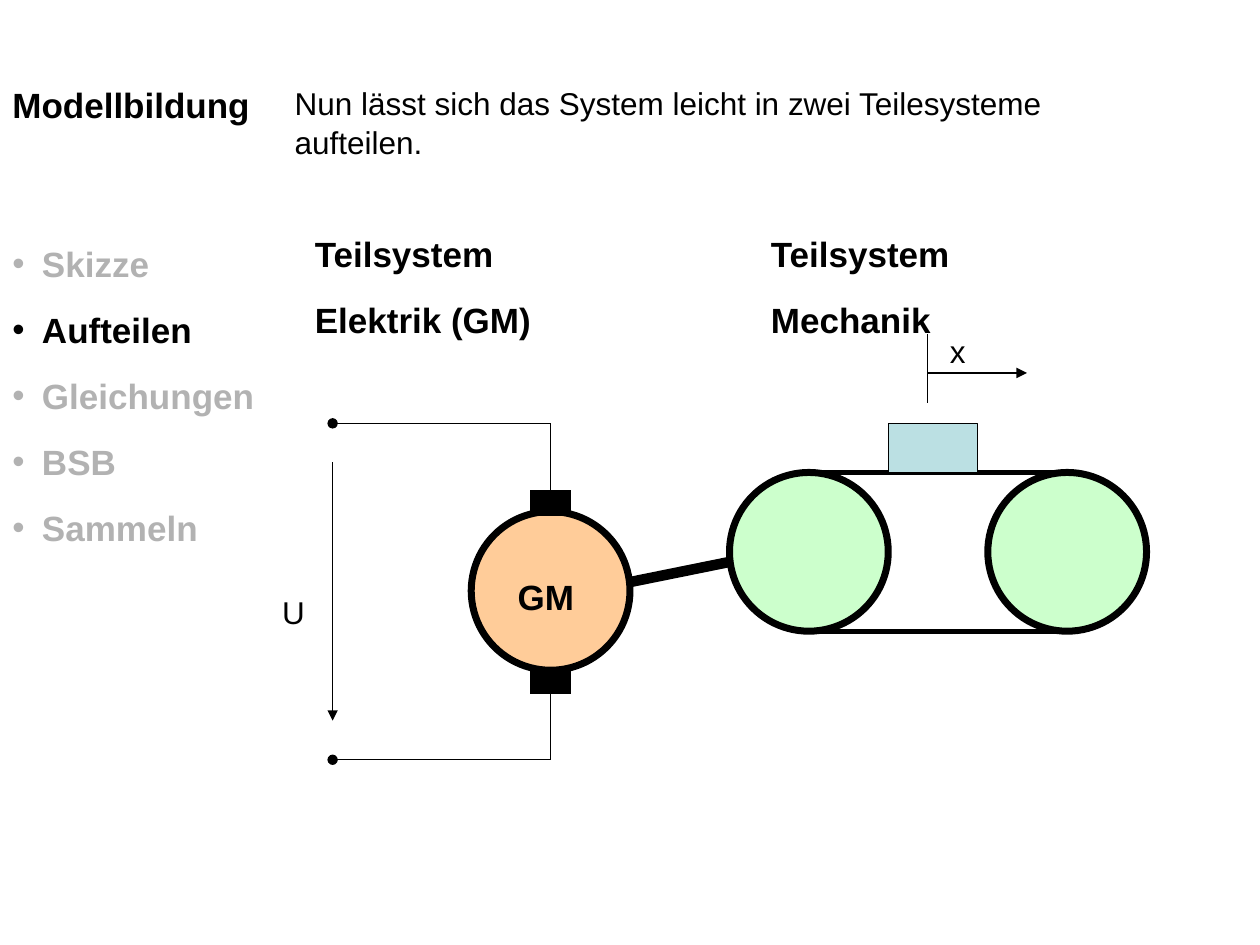
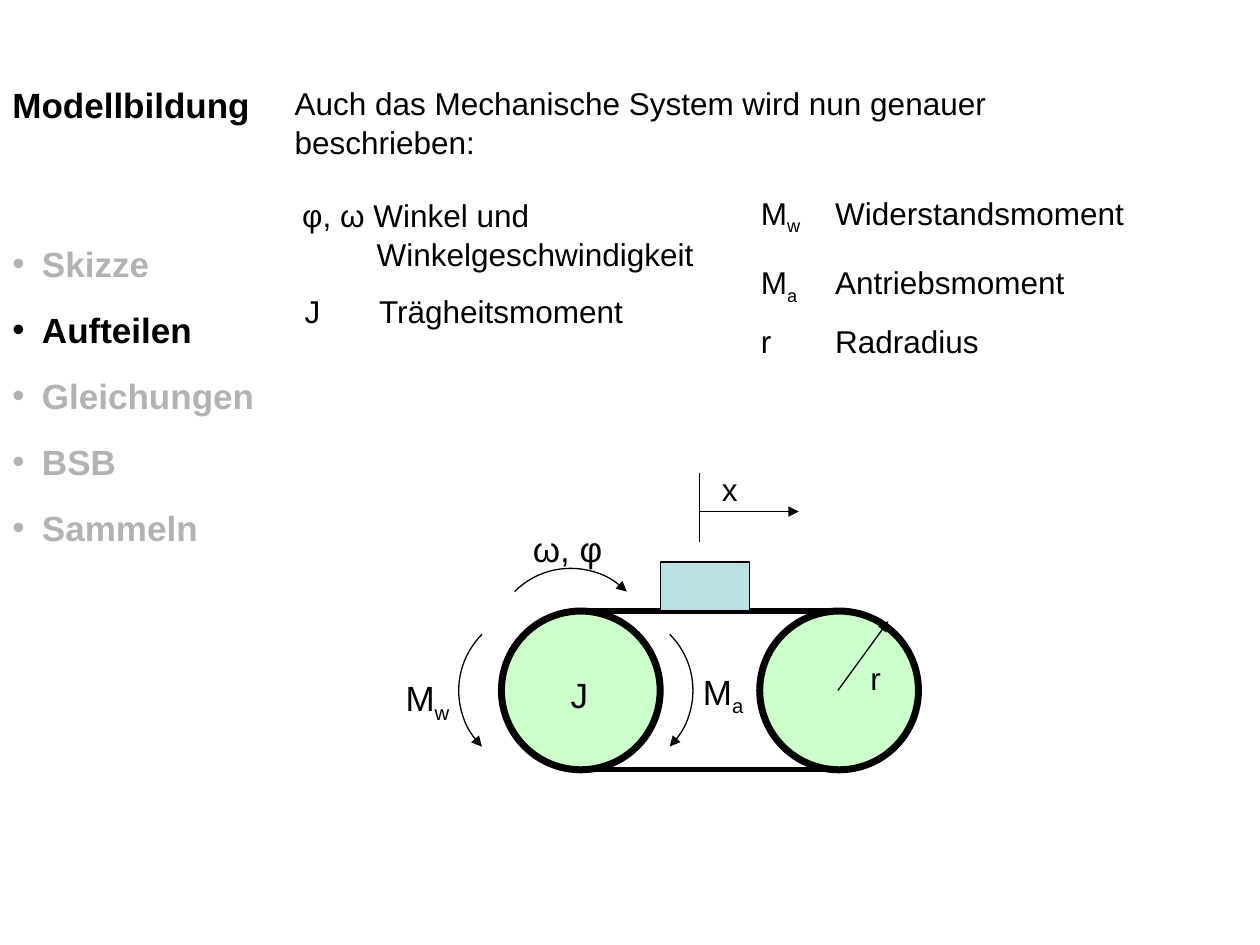
from pptx import Presentation
from pptx.util import Inches, Pt
from pptx.dml.color import RGBColor as Rgb
from pptx.enum.shapes import MSO_SHAPE as Form, MSO_CONNECTOR as Wire
from pptx.enum.text import MSO_AUTO_SIZE as Fit
from pptx.oxml.ns import qn
from lxml.etree import SubElement as Sub

HUES = {"ink": "000000", "dim": "B2B2B2", "motor": "FFCC99",
        "wheel": "CCFFCC", "cart": "BBE0E3"}
FONT = "Arial"
STEPS = ["Skizze", "Aufteilen", "Gleichungen", "BSB", "Sammeln"]
NOW = "Aufteilen"

deck = Presentation()
deck.slide_width, deck.slide_height = Inches(10), Inches(7.5)
CELL = deck.slide_width / 100
SIDE = 22.4
DISC = 12.6
SPAN = 20.5


def style(shape, width, fill=None, **ends):
    shape.line.color.rgb = Rgb.from_string(HUES["ink"])
    shape.line.width = Pt(width)
    if fill:
        shape.fill.solid()
        shape.fill.fore_color.rgb = Rgb.from_string(HUES[fill])
    elif hasattr(shape, "fill"):
        shape.fill.background()
    edge = shape.line._get_or_add_ln()
    for end, kind in ends.items():
        Sub(edge, qn(f"a:{end}End"), type=kind)
    Sub(shape._element.spPr, qn("a:effectLst"))


def write(slide, place, lines, size=18, bold=False, wrap=True, gap=0, tab=0):
    box = slide.shapes.add_textbox(*[round(n * CELL) for n in place])
    frame = box.text_frame
    frame.word_wrap = wrap
    frame.auto_size = Fit.NONE if wrap else Fit.SHAPE_TO_FIT_TEXT
    for i, runs in enumerate(lines):
        para = frame.paragraphs[0] if i == 0 else frame.add_paragraph()
        para.line_spacing = 1.05
        para.space_before = Pt(gap)
        for j, words in enumerate(runs):
            run = para.add_run()
            run.text = words
            font = run.font
            font.name, font.size, font.bold = FONT, Pt(size), bold
            font.color.rgb = Rgb.from_string(HUES["ink"])
            if j % 2:
                font._element.set("baseline", "-25000")
        if tab:
            stops = Sub(para._p.get_or_add_pPr(), qn("a:tabLst"))
            Sub(stops, qn("a:tab"), pos=str(round(tab * CELL)), algn="l")
    return frame


pages = []
for lead, left, top in [
    ("Nun lässt sich das System leicht in zwei Teilesysteme aufteilen.", 57.9, 37.5),
    ("Auch das Mechanische System wird nun genauer beschrieben:", 39.8, 48.5),
]:
    slide = deck.slides.add_slide(deck.slide_layouts[6])
    pages.append(slide)
    write(slide, (0, 6, SIDE, 6.3), [["Modellbildung"]], 20, True)
    write(slide, (SIDE, 6, 71.5, 7), [[lead]])

    menu = write(slide, (0, 18.6, SIDE, 43.3), [[s] for s in STEPS], 20, True, gap=12.5)
    for para in menu.paragraphs:
        hue = HUES["ink" if para.text == NOW else "dim"]
        para.runs[0].font.color.rgb = Rgb.from_string(hue)
        props = para._p.get_or_add_pPr()
        props.set("marL", str(round(2.35 * CELL)))
        props.set("indent", str(round(-2.35 * CELL)))
        Sub(Sub(props, qn("a:buClr")), qn("a:srgbClr"), val=hue)
        Sub(props, qn("a:buFont"), typeface=FONT)
        Sub(props, qn("a:buChar"), char="•")

    for x in (left, left + SPAN):
        disc = slide.shapes.add_shape(
            Form.OVAL, *[round(n * CELL) for n in (x, top, DISC, DISC)])
        style(disc, 4, "wheel")
    hub = left + DISC / 2
    axis = left + 15.7
    for x1, y1, x2, y2, width, ends in [
        (hub, top, hub + SPAN, top, 3, {}),
        (hub, top + DISC, hub + SPAN, top + DISC, 3, {}),
        (axis, top - 11, axis, top - 5.5, 0.75, {}),
        (axis, top - 7.9, axis + 7.9, top - 7.9, 0.75, {"tail": "triangle"}),
    ]:
        line = slide.shapes.add_connector(
            Wire.STRAIGHT, *[round(n * CELL) for n in (x1, y1, x2, y2)])
        style(line, width, **ends)
    cart = slide.shapes.add_shape(
        Form.RECTANGLE, *[round(n * CELL) for n in (left + DISC, top - 3.9, 7.1, 3.9)])
    style(cart, 0.75, "cart")
    write(slide, (left + 16.5, top - 11.8, 3.2, 4), [["x"]], wrap=False)

split, mech = pages

motor = split.shapes.add_shape(
    Form.OVAL, *[round(n * CELL) for n in (37.4, 40.6, DISC, DISC)])
style(motor, 4, "motor")
write(split, (40.1, 45, 7.1, 4.4), [["GM"]], 20, True, gap=12.5)
mid, pole = 43.7, 26.4
wires = [
    (50, 46.2, 57.9, 44.6, 6, {}),
    (pole, 36.7, pole, 57.2, 0.75, {"tail": "triangle"}),
]
for brush, inner, outer in [(39.9, 39.1, 33.6), (54, 54.8, 60.3)]:
    wires += [
        (mid - 1.6, brush, mid + 1.6, brush, 15, {}),
        (mid, outer, mid, inner, 0.75, {}),
        (mid, outer, pole, outer, 0.75, {"tail": "oval"}),
    ]
for *ends, width, tips in wires:
    line = split.shapes.add_connector(Wire.STRAIGHT, *[round(n * CELL) for n in ends])
    style(line, width, **tips)
write(split, (21.4, 46.4, 3.8, 4), [["U"]], wrap=False)
for x, part in [(24, "Elektrik (GM)"), (60.2, "Mechanik")]:
    write(split, (x, 17.8, 22.8, 9.4), [["Teilsystem"], [part]], 20, True, gap=12.5)

for x, y, turn, end in [
    (39, 45.1, 315, "tail"),
    (36.4, 48.5, 225, "head"),
    (42.4, 48.5, 45, "tail"),
]:
    arc = mech.shapes.add_shape(Form.ARC, *[round(n * CELL) for n in (x, y, DISC, DISC)])
    arc.rotation = turn
    style(arc, 0.75, **{end: "triangle"})
ray = mech.shapes.add_connector(
    Wire.STRAIGHT, *[round(n * CELL) for n in (66.5, 54.8, 70.5, 49.3)])
style(ray, 0.75, tail="triangle")
for x, y, w, h, runs, size in [
    (41.3, 41.2, 7.5, 4.4, ["ω, φ"], 20),
    (31.2, 53, 5.5, 4.8, ["M", "w"], 20),
    (54.8, 52.5, 5.2, 4.8, ["M", "a"], 20),
    (44.3, 52.8, 3.4, 4.4, ["J"], 20),
    (68.1, 51.7, 2.8, 4, ["r"], 18),
]:
    write(mech, (x, y, w, h), [runs], size, wrap=False)
for x, y, h, lines in [
    (23, 14.9, 7, [["φ, ω Winkel und"], ["\tWinkelgeschwindigkeit"]]),
    (23.2, 22.5, 4, [["J\tTrägheitsmoment"]]),
    (59.4, 14.7, 4.4, [["M", "w\t", "Widerstandsmoment"]]),
    (59.4, 20.2, 4.4, [["M", "a\t", "Antriebsmoment"]]),
    (59.4, 24.9, 4, [["r\tRadradius"]]),
]:
    write(mech, (x, y, 34.1, h), lines, tab=5.9)

deck.save("out.pptx")
